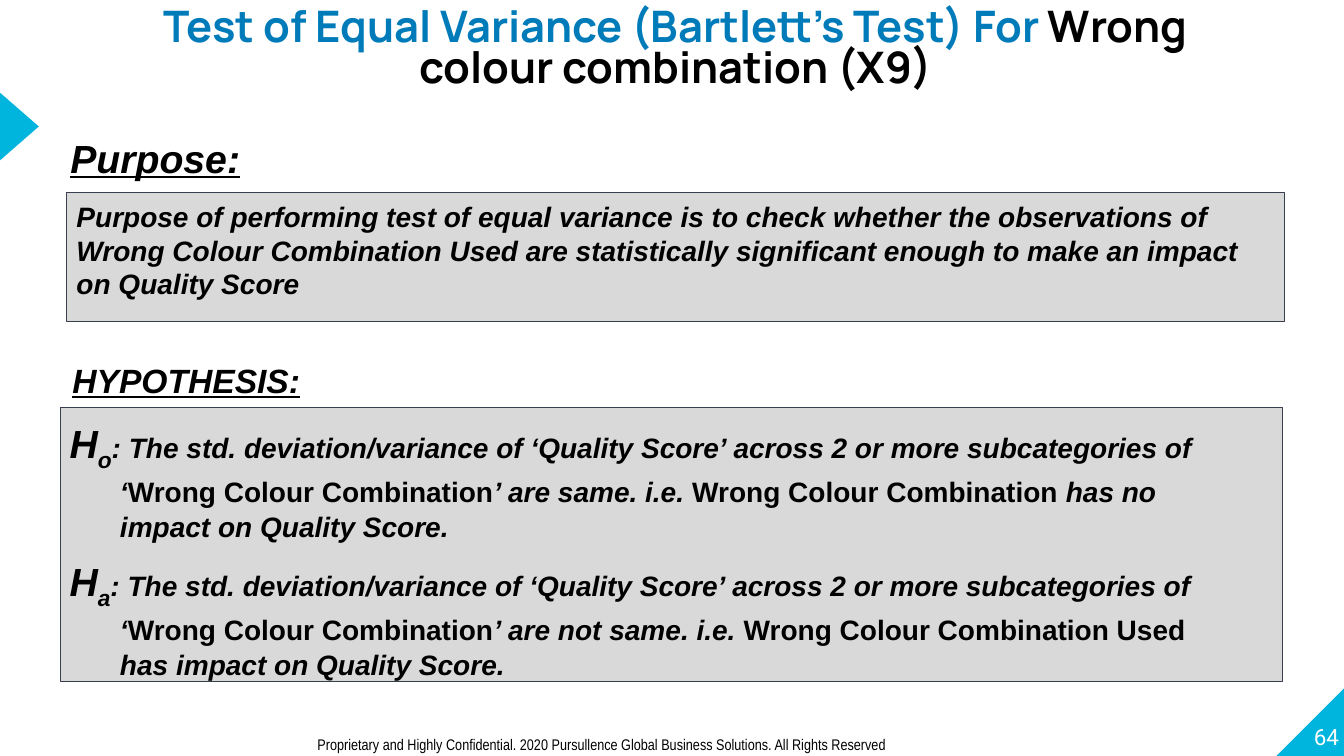
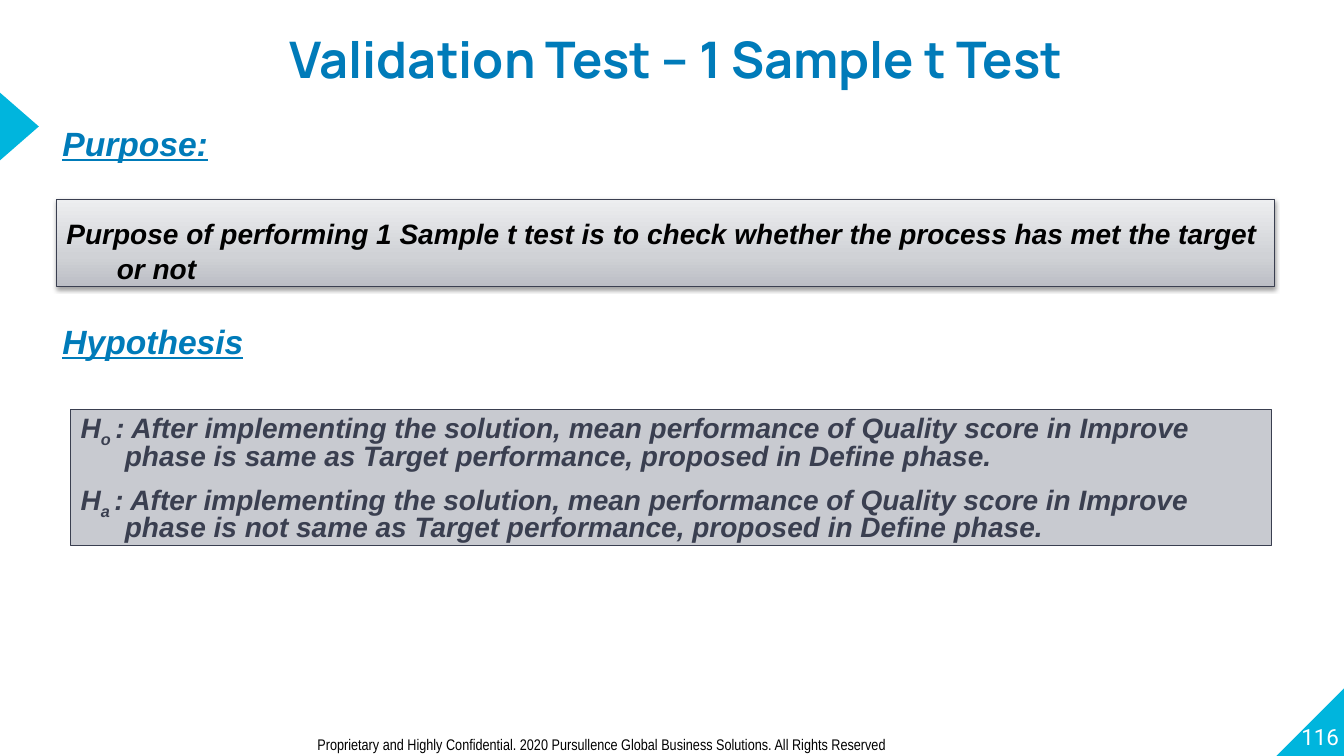
from lxml import etree
from pptx import Presentation
from pptx.dml.color import RGBColor
from pptx.enum import shapes, text
from pptx.util import Inches, Pt

WIDTH, HEIGHT = 13.33, 7.5
COLOURS = {
    "accent": "00B5DD", "blue": "007BB9", "slate": "3A3F50", "black": "000000",
    "white": "FFFFFF", "panel": "D9D9D9", "cool panel": "C8CAD0",
}
GRADIENT = [(0, "BCBEC5"), (35, "D0D2D6"), (100, "EDEEF0")]
FOOTER = ("Proprietary and Highly Confidential. 2020 Pursullence Global "
          "Business Solutions. All Rights Reserved")

TITLE = {"name": "Manrope", "bold": True, "colour": "blue"}
HEADING = {"name": "Arial", "bold": True, "italic": True, "underline": True, "size": 24}
BODY = {"name": "Arial", "bold": True, "italic": True, "size": 20, "colour": "black"}
UPRIGHT = {"italic": False}
SYMBOL = {"size": 28}
SUBSCRIPT = {"baseline": -25}
HANGING = {"indent": 0.5, "line_spacing": 1.05}


def variance_claim(letter, verdict, factor, effect):
    return [
        ("H", SYMBOL), (letter, SYMBOL | SUBSCRIPT),
        (": The std. deviation/variance of ‘Quality Score’ across 2 or more subcategories of ‘", {}),
        ("Wrong Colour Combination", UPRIGHT), (f"’ are {verdict}. i.e. ", {}),
        (f"{factor} ", UPRIGHT), (f"{effect} impact on Quality Score.", {}),
    ]


def target_claim(letter, verdict):
    return [
        ("H", {}), (f"{letter} ", SUBSCRIPT),
        (": After implementing the solution, mean performance of Quality score in Improve "
         f"phase is {verdict} as Target performance, proposed in Define phase.", {}),
    ]


# Each block: area (left, top, width, height), paragraphs of (text, style) runs, and formats.
SLIDES = [
    {"number": "64", "blocks": [
        {"area": (1.16, 0.23, 11.08, 0.54), "font": TITLE | {"size": 31},
         "paragraphs": [[("Test of Equal Variance (Bartlett’s Test) For ", {}),
                         ("Wrong colour combination (X9)", {"colour": "black"})]],
         "layout": {"align": "CENTER", "line_spacing": 0.8},
         "anchor": "MIDDLE", "insets": (0, 0, 0, 0)},
        {"area": (0.6, 1.28, 5.33, 0.57), "font": HEADING | {"size": 28, "colour": "black"},
         "paragraphs": [[("Purpose:", {})]]},
        {"area": (0.66, 1.91, 12.08, 1.28), "font": BODY, "fill": "panel",
         "insets": (0.1, 0.07, 0.1, 0.05),
         "paragraphs": [[("Purpose of performing test of equal variance is to check whether the "
                          "observations of Wrong Colour Combination Used are statistically "
                          "significant enough to make an impact on Quality Score", {})]]},
        {"area": (0.62, 3.52, 5.33, 0.5), "font": HEADING | {"colour": "black"},
         "paragraphs": [[("HYPOTHESIS:", {})]]},
        {"area": (0.6, 4.04, 12.12, 2.72), "font": BODY, "fill": "panel",
         "insets": (0.09, 0.09, 0.53, 0.05), "layout": HANGING | {"gap": 8.4},
         "paragraphs": [
             variance_claim("o", "same", "Wrong Colour Combination", "has no"),
             variance_claim("a", "not same", "Wrong Colour Combination Used", "has")]},
    ]},
    {"number": "116", "blocks": [
        {"area": (1.85, -0.02, 9.71, 0.76), "font": TITLE | {"size": 36},
         "paragraphs": [[("Validation Test – 1 Sample t Test", {})]],
         "layout": {"align": "CENTER", "line_spacing": 1.5}, "insets": (0, 0, 0, 0)},
        {"area": (0.52, 1.17, 12.08, 0.5), "font": HEADING | {"colour": "blue"},
         "paragraphs": [[("Purpose:", {})]]},
        {"area": (0.56, 1.98, 12.08, 0.86), "font": BODY, "fill": "gradient",
         "insets": (0.1, 0.15, 0.1, 0.05), "layout": HANGING,
         "paragraphs": [[("Purpose of performing 1 Sample t test is to check whether the "
                          "process has met the target or not", {})]]},
        {"area": (0.52, 3.13, 5.47, 0.5), "font": HEADING | {"colour": "blue"},
         "paragraphs": [[("Hypothesis", {})]]},
        {"area": (0.7, 4.06, 11.91, 1.35), "font": BODY | {"colour": "slate"},
         "fill": "cool panel",
         "layout": {"indent": 0.44, "line_spacing": 0.8, "gap": 10},
         "paragraphs": [target_claim("o", "same"), target_claim("a", "not same")]},
    ]},
]


def rgb(name):
    return RGBColor.from_string(COLOURS[name])


def add_run(paragraph, words, style):
    run = paragraph.add_run()
    run.text = words
    for key, value in style.items():
        if key == "colour":
            run.font.color.rgb = rgb(value)
        elif key == "baseline":
            run.font._element.set("baseline", str(value * 1000))
        else:
            setattr(run.font, key, Pt(value) if key == "size" else value)


def write_text(shape, paragraphs, font, layout=None, anchor="TOP", insets=(0.1, 0.05, 0.1, 0.05)):
    layout = layout or {}
    frame = shape.text_frame
    frame.word_wrap = True
    frame.vertical_anchor = text.MSO_ANCHOR[anchor]
    for side, inset in zip(("left", "top", "right", "bottom"), insets):
        setattr(frame, f"margin_{side}", Inches(inset))
    for index, runs in enumerate(paragraphs):
        paragraph = frame.add_paragraph() if index else frame.paragraphs[0]
        paragraph.alignment = text.PP_ALIGN[layout.get("align", "LEFT")]
        paragraph.line_spacing = layout.get("line_spacing", 1.0)
        paragraph.space_before = Pt(layout.get("gap", 0) if index else 0)
        indent = Inches(layout.get("indent", 0))
        properties = paragraph._p.get_or_add_pPr()
        properties.set("marL", str(indent))
        properties.set("indent", str(-indent))
        for words, style in runs:
            add_run(paragraph, words, font | style)


def add_shape(slide, kind, area, fill):
    shape = slide.shapes.add_shape(shapes.MSO_SHAPE[kind], *map(Inches, area))
    shape.shadow.inherit = False
    shape.fill.solid()
    shape.fill.fore_color.rgb = rgb(fill)
    shape.line.fill.background()
    return shape


def add_raised_gradient(shape):
    """Shade the shape from light at the top to dark, with a soft shadow below."""
    namespace = 'xmlns:a="http://schemas.openxmlformats.org/drawingml/2006/main"'
    stops = "".join(f'<a:gs pos="{share * 1000}"><a:srgbClr val="{colour}"/></a:gs>'
                    for share, colour in GRADIENT)
    gradient = etree.fromstring(f'<a:gradFill {namespace} rotWithShape="1"><a:gsLst>{stops}'
                                '</a:gsLst><a:lin ang="16200000" scaled="0"/></a:gradFill>')
    shadow = etree.fromstring(
        f'<a:outerShdw {namespace} blurRad="{Pt(3.1)}" dist="{Pt(1.6)}" dir="5400000" '
        'rotWithShape="0"><a:srgbClr val="000000"><a:alpha val="38000"/></a:srgbClr></a:outerShdw>')
    properties = shape._element.spPr
    solid = properties.find("{*}solidFill")
    properties.replace(solid, gradient)
    properties.find("{*}effectLst").append(shadow)


def add_block(slide, area, fill=None, **content):
    if fill:
        shape = add_shape(slide, "RECTANGLE", area, "panel" if fill == "gradient" else fill)
        shape.line.color.rgb = rgb("slate")
        shape.line.width = Pt(0.75)
        if fill == "gradient":
            add_raised_gradient(shape)
    else:
        shape = slide.shapes.add_textbox(*map(Inches, area))
    write_text(shape, **content)


def add_frame(slide, number):
    """Draw the corner, side marker, page number and footer that all slides share."""
    corner = 0.67
    triangle = add_shape(slide, "RIGHT_TRIANGLE",
                         (WIDTH - corner, HEIGHT - corner, corner, corner), "accent")
    triangle._element.spPr.xfrm.set("flipH", "1")
    marker = add_shape(slide, "ISOSCELES_TRIANGLE", (-0.15, 1.06, 0.68, 0.39), "accent")
    marker.rotation = 90
    add_block(slide, (12.61, 6.76, corner, 0.68), paragraphs=[[(number, {})]],
              font={"name": "Roboto", "size": 16, "colour": "white"},
              layout={"align": "RIGHT"}, anchor="BOTTOM", insets=(0, 0, 0, 0))
    add_block(slide, (3.05, 7.24, 8.51, 0.26), paragraphs=[[(FOOTER, {})]],
              font={"name": "Arial Narrow", "size": 11, "colour": "black"})


def main():
    presentation = Presentation()
    presentation.slide_width, presentation.slide_height = Inches(WIDTH), Inches(HEIGHT)
    for content in SLIDES:
        slide = presentation.slides.add_slide(presentation.slide_layouts[6])
        add_frame(slide, content["number"])
        for block in content["blocks"]:
            add_block(slide, **block)
    presentation.save("out.pptx")


if __name__ == "__main__":
    main()
